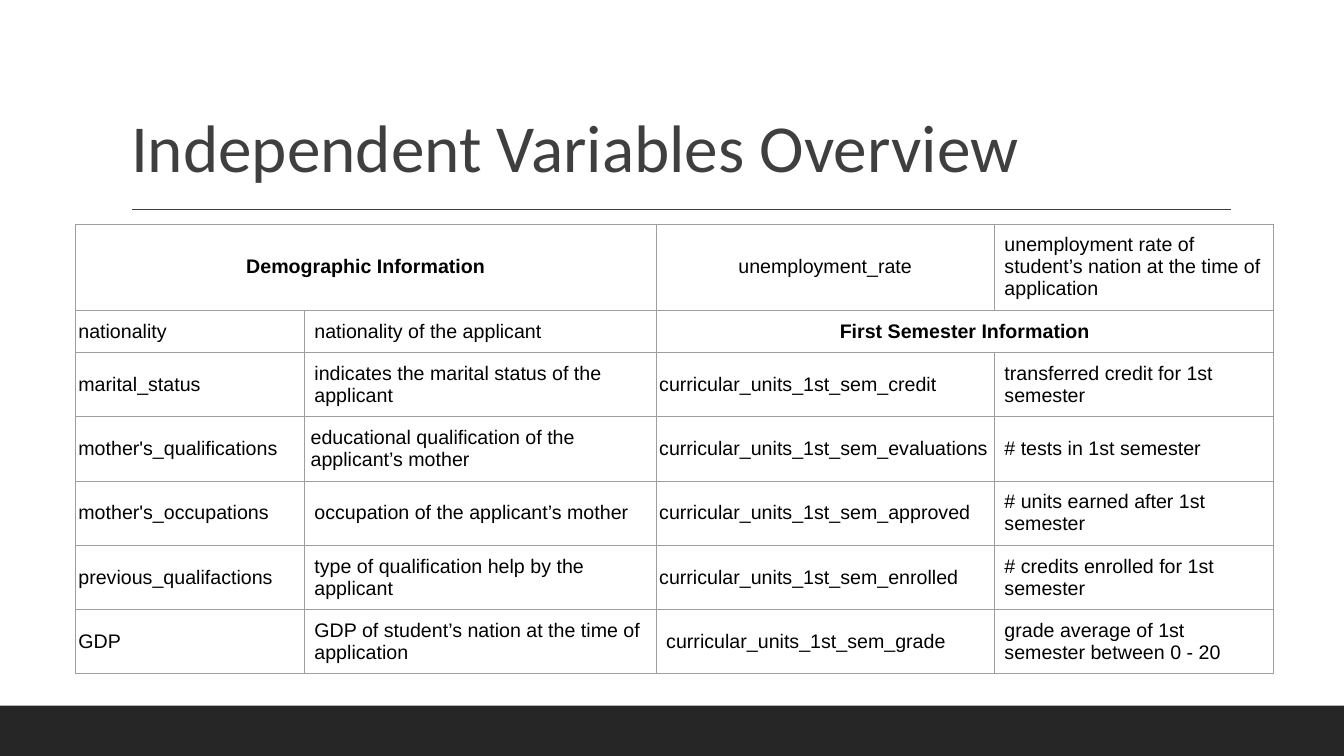
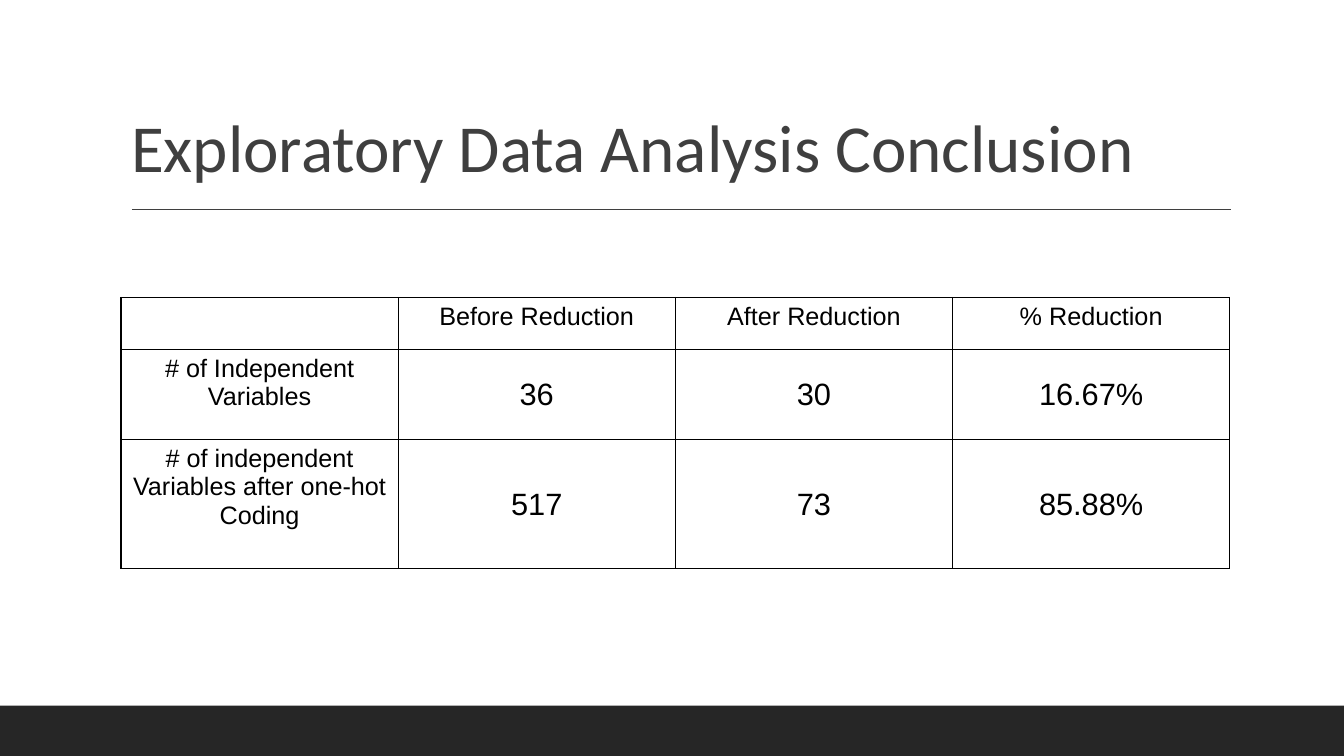
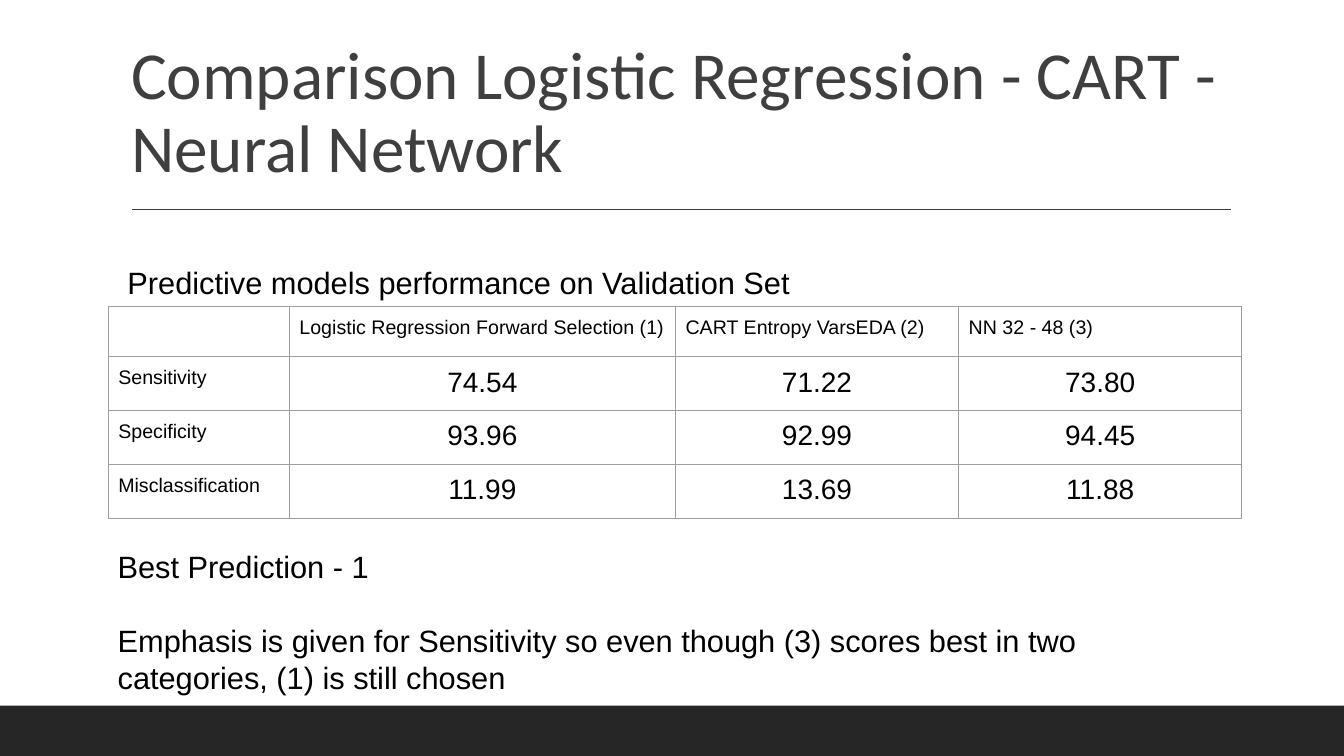
from lxml import etree
from pptx import Presentation
from pptx.dml.color import RGBColor
from pptx.enum.shapes import MSO_CONNECTOR, MSO_SHAPE
from pptx.enum.text import MSO_ANCHOR, MSO_AUTO_SIZE, PP_ALIGN
from pptx.oxml.ns import qn
from pptx.util import Pt

LEFT, CENTER = PP_ALIGN.LEFT, PP_ALIGN.CENTER
TOP, MIDDLE, BOTTOM = MSO_ANCHOR.TOP, MSO_ANCHOR.MIDDLE, MSO_ANCHOR.BOTTOM
RECT, STRAIGHT = MSO_SHAPE.RECTANGLE, MSO_CONNECTOR.STRAIGHT
NO_AUTOFIT = MSO_AUTO_SIZE.NONE

COLORS = {"band": "262626", "title": "3F3F3F", "text": "000000",
          "grid": "9E9E9E", "frame": "000000"}
BODY_FONT, TITLE_FONT = "Arial", "Calibri"
WIDTH, HEIGHT, BAND_HEIGHT = 960, 540, 36
SIDES = ("left", "top", "right", "bottom")
TIGHT, WIDE = 2.2, 7.2

VARIABLES = [
    ["Demographic Information", None, "unemployment_rate",
     "unemployment rate of student’s nation at the time of application"],
    ["nationality", "nationality of the applicant", "First Semester Information", None],
    ["marital_status", "indicates the marital status of the applicant",
     "curricular_units_1st_sem_credit", "transferred credit for 1st semester"],
    ["mother's_qualifications", "educational qualification of the applicant’s mother",
     "curricular_units_1st_sem_evaluations", "# tests in 1st semester"],
    ["mother's_occupations", "occupation of the applicant’s mother",
     "curricular_units_1st_sem_approved", "# units earned after 1st semester"],
    ["previous_qualifactions", "type of qualification help by the applicant",
     "curricular_units_1st_sem_enrolled", "# credits enrolled for 1st semester"],
    ["GDP", "GDP of student’s nation at the time of application",
     "curricular_units_1st_sem_grade", "grade average of 1st semester between 0 - 20"],
]
REDUCTION = [
    ["", "Before Reduction", "After Reduction", "% Reduction"],
    ["# of Independent Variables", "36", "30", "16.67%"],
    ["# of independent Variables after one-hot Coding", "517", "73", "85.88%"],
]
MODELS = [
    ["", "Logistic Regression Forward Selection (1)", "CART Entropy VarsEDA (2)",
     "NN 32 - 48 (3)"],
    ["Sensitivity", "74.54", "71.22", "73.80"],
    ["Specificity", "93.96", "92.99", "94.45"],
    ["Misclassification", "11.99", "13.69", "11.88"],
]


def set_all(obj, values):
    for name, value in values.items():
        setattr(obj, name, value)


def set_box(sp, x, y, w, h):
    set_all(sp, {"left": Pt(x), "top": Pt(y), "width": Pt(w), "height": Pt(h)})


def add_xml(parent, tag, **attrs):
    return etree.SubElement(parent, qn(tag), attrs)


def add_color(parent, color):
    add_xml(add_xml(parent, "a:solidFill"), "a:srgbClr", val=COLORS[color])


def write(p, text, size, bold=False):
    r = p.add_run()
    r.text = text
    set_all(r.font, {"name": BODY_FONT, "size": Pt(size), "bold": bold})
    r.font.color.rgb = RGBColor.from_string(COLORS["text"])


def style_title(layout):
    title = layout.placeholders[0]
    set_box(title, 86.4, 22.5, 792, 114.4)
    tf = title.text_frame
    set_all(tf, {"vertical_anchor": BOTTOM, "auto_size": NO_AUTOFIT})
    style = title.element.find(".//" + qn("a:lstStyle"))
    for old in list(style):
        style.remove(old)
    level = add_xml(style, "a:lvl1pPr", algn="l")
    add_xml(add_xml(level, "a:lnSpc"), "a:spcPct", val="90000")
    font = add_xml(level, "a:defRPr", sz="4800", b="0")
    add_color(font, "title")
    add_xml(font, "a:latin", typeface=TITLE_FONT)


def add_band_and_rule(layout, s):
    band = s.shapes.add_shape(RECT, 0, Pt(HEIGHT - BAND_HEIGHT), Pt(WIDTH), Pt(BAND_HEIGHT))
    band.shadow.inherit = False
    band.fill.solid()
    band.fill.fore_color.rgb = RGBColor.from_string(COLORS["band"])
    band.line.fill.background()
    rule = s.shapes.add_connector(STRAIGHT, Pt(94.3), Pt(149.5), Pt(879), Pt(149.5))
    rule.line.color.rgb = RGBColor.from_string(COLORS["title"])
    rule.line.width = Pt(1)
    add_xml(rule.element.spPr, "a:effectLst")
    for number, sp in enumerate((band, rule), 20):
        sp.element.xpath(".//p:cNvPr")[0].set("id", str(number))
        layout.shapes.element.append(sp.element)


def add_slide(prs, layout, title):
    s = prs.slides.add_slide(layout)
    s.shapes.title.text = title
    return s


def add_text(s, box, paragraphs, size, gap=0):
    tf = s.shapes.add_textbox(*map(Pt, box)).text_frame
    tf.word_wrap = True
    for i, text in enumerate(paragraphs):
        p = tf.add_paragraph() if i else tf.paragraphs[0]
        p.space_before = Pt(gap if i else 0)
        write(p, text, size)


def set_borders(cell, color, width):
    tcPr = cell._tc.get_or_add_tcPr()
    for tag in ("a:lnL", "a:lnR", "a:lnT", "a:lnB"):
        add_color(add_xml(tcPr, tag, w=str(Pt(width))), color)
    cell.fill.background()


def add_grid(s, at, cols, rows, data, border, cell_format):
    frame = s.shapes.add_table(len(rows), len(cols), *map(Pt, (*at, sum(cols), sum(rows))))
    table = frame.table
    set_all(table, {"first_row": False, "horz_banding": False})
    for col, width in zip(table.columns, cols):
        col.width = Pt(width)
    for row, height in zip(table.rows, rows):
        row.height = Pt(height)
    for i, texts in enumerate(data):
        for j, text in enumerate(texts):
            cell = table.cell(i, j)
            set_borders(cell, *border)
            if text is None:
                table.cell(i, j - 1).merge(cell)
                continue
            look = cell_format(i, j)
            for side, inset in zip(SIDES, look["insets"]):
                setattr(cell, "margin_" + side, Pt(inset))
            cell.vertical_anchor = look["anchor"]
            p = cell.text_frame.paragraphs[0]
            p.alignment = look["align"]
            if text:
                write(p, text, look["size"], look.get("bold", False))


def variable_format(i, j):
    heading = (i, j) in ((0, 0), (1, 2))
    side = WIDE if j % 2 or (i, j) == (6, 2) else TIGHT
    left = 4.5 if (i, j) == (3, 1) else side
    return {"insets": (left, WIDE, side, WIDE), "anchor": MIDDLE, "size": 14, "bold": heading,
            "align": CENTER if heading or (i, j) == (0, 2) else LEFT}


def reduction_format(i, j):
    value = i and j
    return {"insets": (7.2, 3.6, 7.2, 3.6), "anchor": MIDDLE if value else TOP,
            "size": 22 if value else 18, "align": CENTER}


def model_format(i, j):
    value = i and j
    return {"insets": (WIDE,) * 4, "anchor": TOP, "size": 20 if value else 14,
            "align": CENTER if value else LEFT}


def main():
    prs = Presentation()
    set_all(prs, {"slide_width": Pt(WIDTH), "slide_height": Pt(HEIGHT)})
    layout = prs.slide_layouts.get_by_name("Title Only")
    style_title(layout)

    s = add_slide(prs, layout, "Independent Variables Overview")
    add_band_and_rule(layout, s)
    add_grid(s, (53.8, 160), (163.6, 251.3, 241.6, 199.4), (61.5, 30, *[45.8] * 5),
             VARIABLES, ("grid", 0.75), variable_format)

    s = add_slide(prs, layout, "Exploratory Data Analysis Conclusion")
    add_grid(s, (86.4, 212.4), [198] * 4, (37.2, 64.6, 92.2),
             REDUCTION, ("frame", 1), reduction_format)

    s = add_slide(prs, layout, "Comparison Logistic Regression - CART - Neural Network")
    add_text(s, (77, 388, 792, 114), [
        "Best Prediction - 1",
        "Emphasis is given for Sensitivity so even though (3) scores best in two "
        "categories, (1) is still chosen"], 22, 26)
    add_grid(s, (77.3, 218.7), (129.4, 275.8, 202.3, 202.3), (34.4, *[36.6] * 3),
             MODELS, ("grid", 0.75), model_format)
    add_text(s, (84, 185, 645, 34), ["Predictive models performance on Validation Set"], 22)

    prs.save("out.pptx")


if __name__ == "__main__":
    main()
